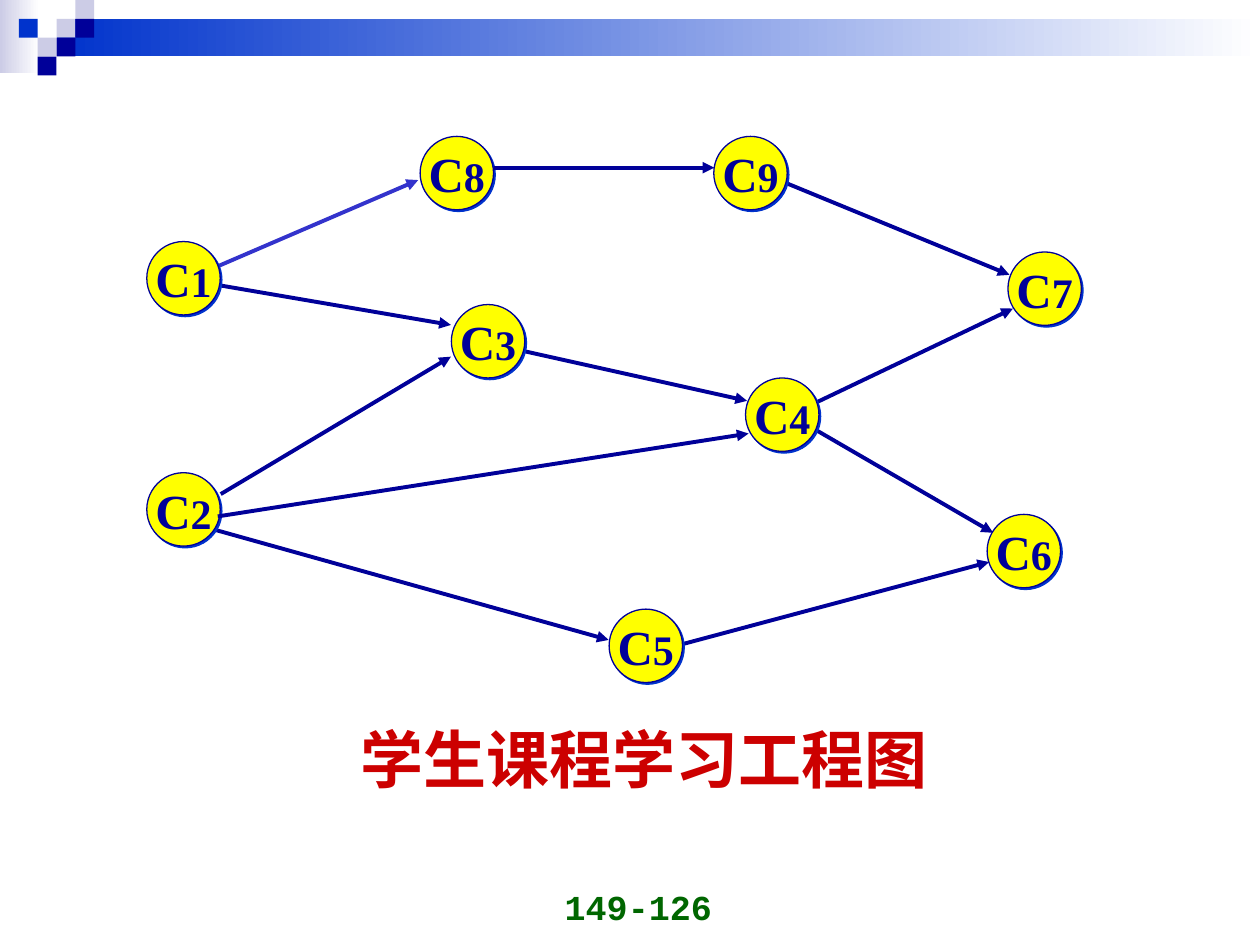
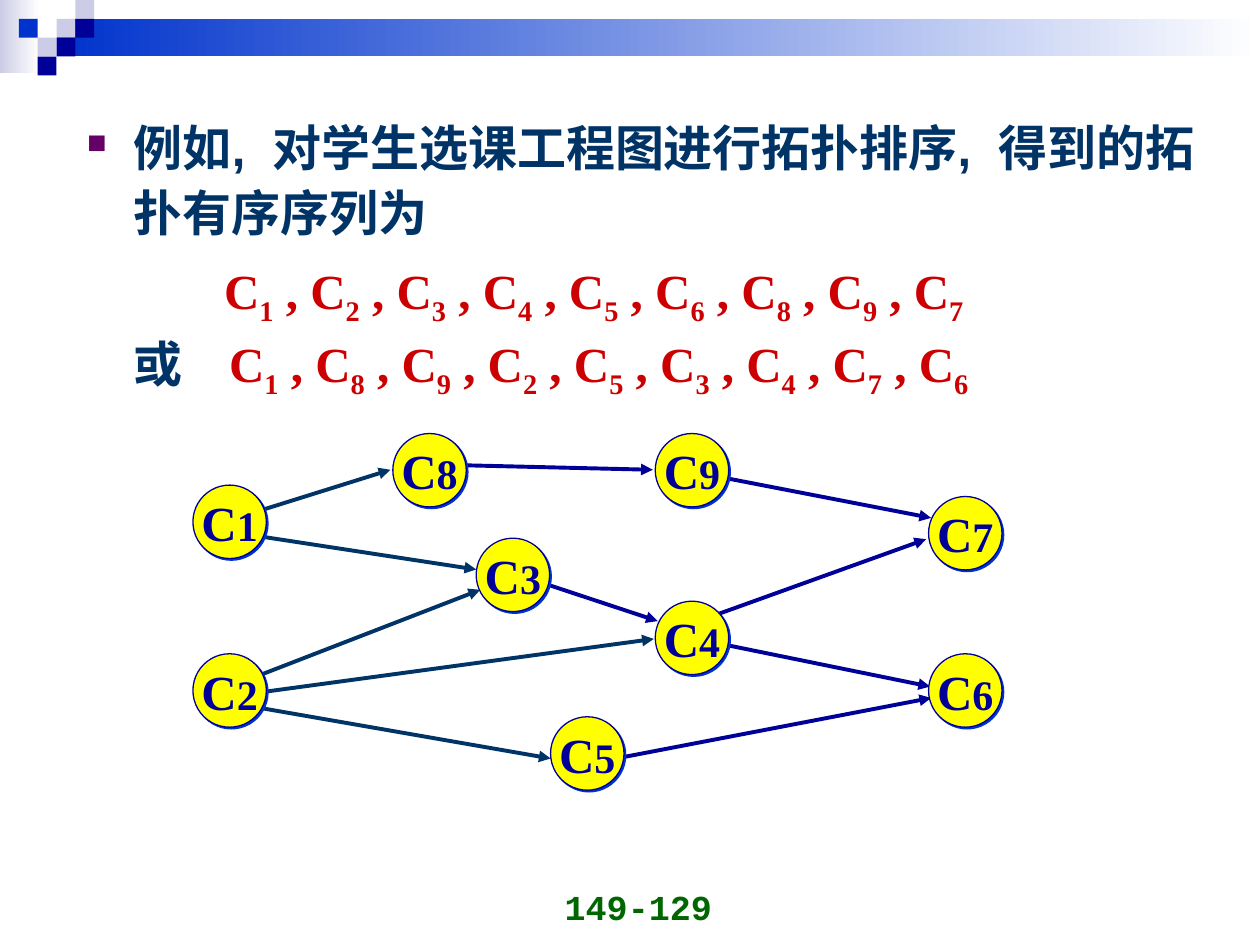
from lxml.etree import SubElement
from pptx import Presentation
from pptx.dml.color import RGBColor
from pptx.enum.shapes import MSO_CONNECTOR, MSO_SHAPE
from pptx.enum.text import MSO_ANCHOR, PP_ALIGN
from pptx.oxml.ns import qn
from pptx.util import Cm, Pt

NAVY, BLUE, LAVENDER, WHITE = "000099", "0033CC", "CCCCE6", "FFFFFF"
DEEP_BLUE, INDIGO, YELLOW = "003366", "3333CC", "FFFF00"
RED, GREEN, PURPLE = "CC0000", "006600", "660066"
SERIF, SANS, MONO = "Times New Roman", "Arial", "Courier New"
SQUARE = 0.38
NODE_SIZE = 1.48
HANGING = 0.95

# Column and row of each small square in the corner
CORNER_SQUARES = [
    (3, 1, LAVENDER), (4, 0, LAVENDER), (4, 1, NAVY), (2, 2, LAVENDER),
    (1, 1, BLUE), (3, 2, NAVY), (2, 3, NAVY),
]

# Left and top of each course, in centimetres
PLAN_NODES = {
    "8": (8.47, 2.75), "3": (9.1, 6.14), "5": (12.28, 12.28),
    "4": (15.03, 7.62), "9": (14.39, 2.75), "6": (19.9, 10.37),
    "7": (20.32, 5.08), "1": (2.96, 4.87), "2": (2.96, 9.53),
}
# Start and end of each arrow, in centimetres
PLAN_ARROWS = [
    (10.39, 7.04, 15.06, 8.08), (15.7, 3.63, 20.35, 5.54),
    (16.21, 8.23, 20.42, 6.22), (13.59, 13.03, 19.94, 11.33),
    (16.21, 8.53, 20.02, 10.74), (4.01, 10.59, 12.27, 12.9),
    (4.45, 9.96, 9.09, 7.19), (4.24, 5.72, 9.09, 6.55),
]
PLAN_FRONT_ARROWS = [(9.96, 3.38, 14.4, 3.38), (4.39, 10.41, 15.09, 8.74)]

ORDER_NODES = {
    "8": (7.92, 8.74), "3": (9.6, 10.85), "5": (11.1, 14.45),
    "4": (13.21, 12.12), "9": (13.21, 8.74), "6": (18.72, 13.18),
    "7": (18.72, 10.01), "1": (3.89, 9.78), "2": (3.89, 13.18),
}
ORDER_ARROWS = [
    (14.53, 12.98, 18.75, 13.84), (12.42, 15.29, 18.77, 14.07),
    (10.72, 11.68, 13.26, 12.52), (14.33, 9.58, 18.77, 10.44),
    (14, 12.55, 18.67, 10.87), (8.92, 9.37, 13.16, 9.47),
]
ORDER_FIRST_ARROWS = [
    (4.93, 14, 13.18, 12.88), (4.95, 14.22, 11.1, 15.29),
    (5.03, 13.69, 9.68, 11.89), (4.11, 10.64, 9.6, 11.48),
    (4.93, 10.39, 7.87, 9.47),
]


def color(hex_string):
    return RGBColor.from_string(hex_string)


def write(paragraph, text, size=28, font=SERIF, fill=NAVY, subscript=False):
    run = paragraph.add_run()
    run.text = text
    run.font.size = Pt(size)
    run.font.name = font
    run.font.bold = True
    run.font.color.rgb = color(fill)
    if subscript:
        run._r.get_or_add_rPr().set("baseline", "-25000")


def write_sequence(paragraph, courses):
    for position, course in enumerate(courses):
        write(paragraph, " , C" if position else "C", fill=RED)
        write(paragraph, course, fill=RED, subscript=True)


def indent(paragraph, left, first=0):
    properties = paragraph._p.get_or_add_pPr()
    properties.set("marL", str(Cm(left)))
    properties.set("indent", str(Cm(first)))
    return properties


def add_bullet(properties):
    bullet_color = SubElement(properties, qn("a:buClr"))
    SubElement(bullet_color, qn("a:srgbClr"), val=PURPLE)
    SubElement(properties, qn("a:buSzPct"), val="55000")
    SubElement(properties, qn("a:buChar"), char="■")


class Deck:
    """Holds the presentation, its shared style and the current slide."""

    def __init__(self):
        self.presentation = Presentation()
        self.presentation.slide_width = Cm(25.4)
        self.presentation.slide_height = Cm(19.05)
        self.slide = None

    def new_slide(self, page):
        layout = self.presentation.slide_layouts[6]
        self.slide = self.presentation.slides.add_slide(layout)
        self.rectangle(0, 0, 0.79, 1.47, LAVENDER, WHITE)
        self.rectangle(3 * SQUARE, SQUARE, 24.26, 2 * SQUARE, BLUE, WHITE)
        for column, row, fill in CORNER_SQUARES:
            self.rectangle(column * SQUARE, row * SQUARE, SQUARE, SQUARE, fill)
        frame = self.text_box(9.91, 17.55, 5.92, 1.27)
        frame.vertical_anchor = MSO_ANCHOR.BOTTOM
        frame.paragraphs[0].alignment = PP_ALIGN.CENTER
        write(frame.paragraphs[0], page, size=20, font=MONO, fill=GREEN)

    def rectangle(self, left, top, width, height, fill, fade_to=None):
        shape = self.slide.shapes.add_shape(
            MSO_SHAPE.RECTANGLE, Cm(left), Cm(top), Cm(width), Cm(height))
        shape.shadow.inherit = False
        shape.line.fill.background()
        if fade_to:
            shape.fill.gradient()
            shape.fill.gradient_angle = 0
            for stop, shade in zip(shape.fill.gradient_stops, (fill, fade_to)):
                stop.color.rgb = color(shade)
        else:
            shape.fill.solid()
            shape.fill.fore_color.rgb = color(fill)

    def text_box(self, left, top, width, height, wrap=True):
        box = self.slide.shapes.add_textbox(
            Cm(left), Cm(top), Cm(width), Cm(height))
        box.text_frame.word_wrap = wrap
        return box.text_frame

    def node(self, course, left, top):
        shape = self.slide.shapes.add_shape(
            MSO_SHAPE.OVAL, Cm(left), Cm(top), Cm(NODE_SIZE), Cm(NODE_SIZE))
        shape.fill.solid()
        shape.fill.fore_color.rgb = color(YELLOW)
        shape.line.color.rgb = color(NAVY)
        shape.line.width = Pt(0.75)
        shape.shadow.inherit = False
        effects = shape._element.spPr.find(qn("a:effectLst"))
        shadow = SubElement(effects, qn("a:outerShdw"), dist=str(Pt(1.4)),
                            dir="2700000", algn="ctr", rotWithShape="0")
        SubElement(shadow, qn("a:srgbClr"), val=BLUE)
        frame = shape.text_frame
        frame.word_wrap = False
        frame.vertical_anchor = MSO_ANCHOR.MIDDLE
        frame.paragraphs[0].alignment = PP_ALIGN.CENTER
        write(frame.paragraphs[0], "C")
        write(frame.paragraphs[0], course, size=24)

    def nodes(self, places):
        for course, (left, top) in places.items():
            self.node(course, left, top)

    def arrows(self, ends, line_color=NAVY):
        for points in ends:
            connector = self.slide.shapes.add_connector(
                MSO_CONNECTOR.STRAIGHT, *map(Cm, points))
            connector.line.color.rgb = color(line_color)
            connector.line.width = Pt(2.25)
            SubElement(connector.line._get_or_add_ln(), qn("a:tailEnd"),
                       type="triangle")
            SubElement(connector._element.spPr, qn("a:effectLst"))


def build_course_plan(deck):
    deck.new_slide("149-126")
    title = deck.text_box(7.01, 14.4, 11.94, 1.78, wrap=False)
    write(title.paragraphs[0], "学生课程学习工程图", size=36, fill=RED)
    deck.arrows(PLAN_ARROWS)
    deck.arrows([(3.99, 5.54, 8.43, 3.63)], INDIGO)
    deck.nodes(PLAN_NODES)
    deck.arrows(PLAN_FRONT_ARROWS)


def build_topological_order(deck):
    deck.new_slide("149-129")
    frame = deck.text_box(1.5, 2.13, 22.86, 8.89)
    example = frame.paragraphs[0]
    first_order = frame.add_paragraph()
    second_order = frame.add_paragraph()
    for paragraph in frame.paragraphs:
        paragraph.line_spacing = 1.1
    first_order.space_before = Pt(7)

    add_bullet(indent(example, HANGING, -HANGING))
    write(example, "例如,  对学生选课工程图进行拓扑排序,  得到的拓扑有序序列为",
          font=SANS, fill=DEEP_BLUE)
    indent(first_order, 2.77)
    write_sequence(first_order, "123456897")
    indent(second_order, 2.87, HANGING - 2.87)
    write(second_order, "或\t", font=SANS, fill=DEEP_BLUE)
    write_sequence(second_order, "189253476")

    deck.arrows(ORDER_ARROWS)
    deck.arrows(ORDER_FIRST_ARROWS, DEEP_BLUE)
    deck.nodes(ORDER_NODES)


def main():
    deck = Deck()
    build_course_plan(deck)
    build_topological_order(deck)
    deck.presentation.save("out.pptx")


if __name__ == "__main__":
    main()
